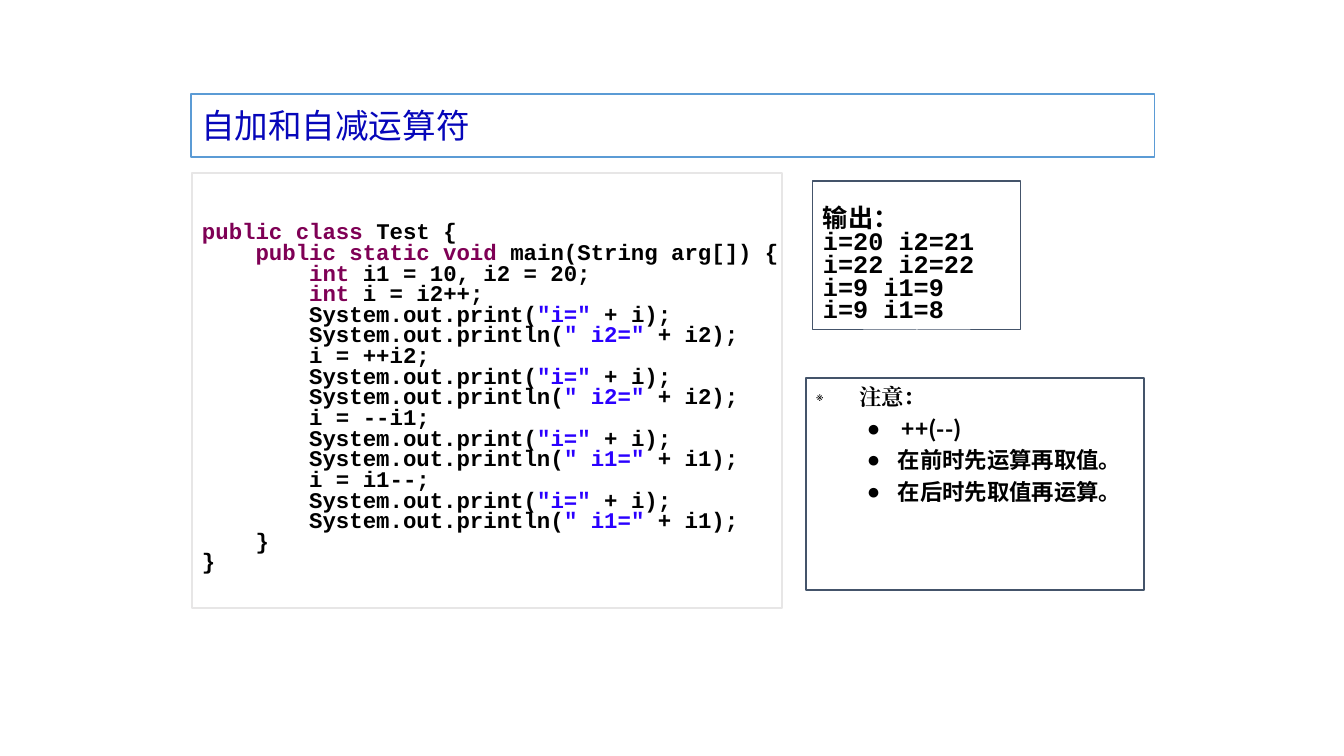
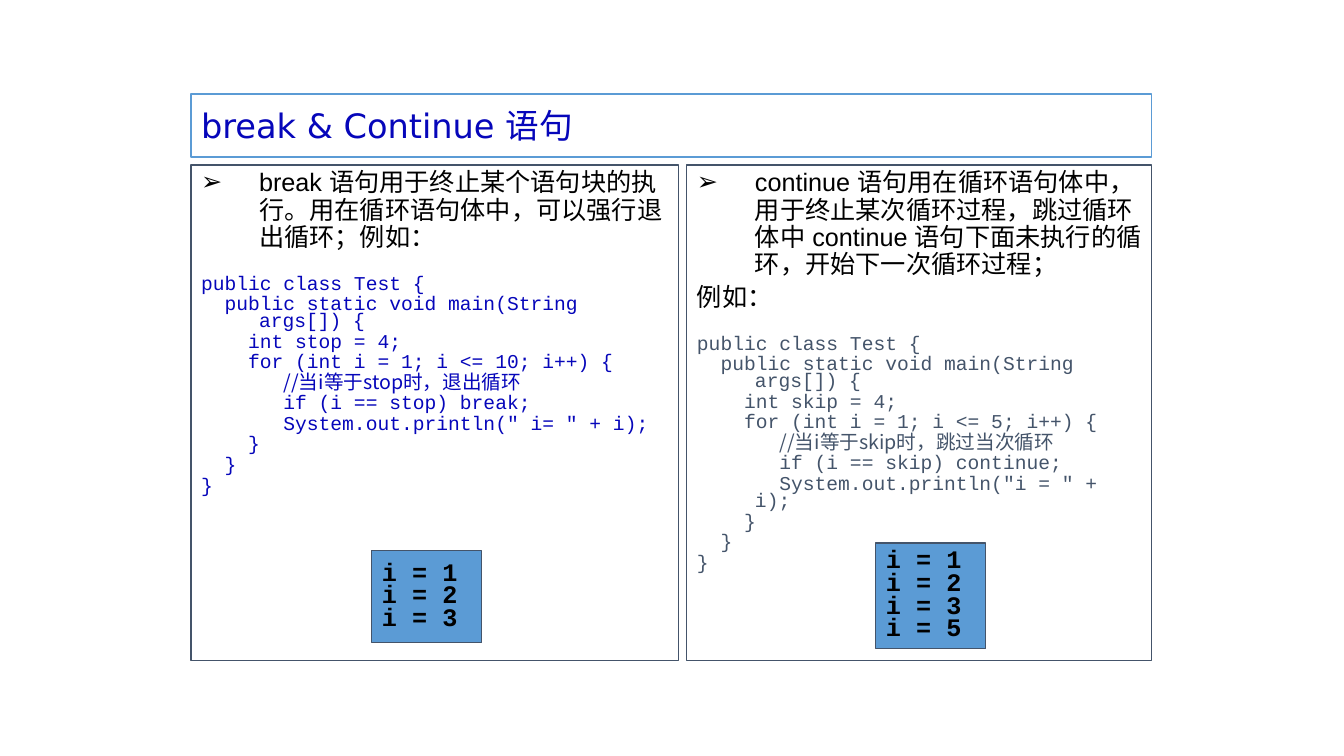
from pptx import Presentation
from pptx.dml.color import RGBColor
from pptx.enum.shapes import MSO_SHAPE
from pptx.enum.text import MSO_ANCHOR, MSO_AUTO_SIZE, PP_ALIGN
from pptx.oxml.ns import qn
from pptx.util import Emu, Pt
from lxml import etree

RECTANGLE = MSO_SHAPE.RECTANGLE
TOP, MIDDLE = MSO_ANCHOR.TOP, MSO_ANCHOR.MIDDLE
LEFT = PP_ALIGN.LEFT
NO_AUTOFIT = MSO_AUTO_SIZE.NONE

SLIDE_WIDTH, SLIDE_HEIGHT = 1344, 756
EMU_PER_PX = 12192000 / SLIDE_WIDTH
INSET_X, INSET_Y = 10, 5
CONTENT_LAYOUT, TWO_CONTENT_LAYOUT = 1, 3

COLORS = {
    "black": "000000", "white": "FFFFFF", "navy": "0606BA", "slate": "44546A",
    "blue": "5B9BD5", "gray": "E7E6E6", "keyword": "7F0055", "string": "2A00FF",
}
MONO, CJK = "Courier New", "Noto Sans CJK SC"
KEYWORDS = ("public class ", "public static void ", "int ")

INCREMENT_CODE = """public class Test {
    public static void main(String arg[]) {
        int i1 = 10, i2 = 20;
        int i = i2++;
        System.out.print("i=" + i);
        System.out.println(" i2=" + i2);
        i = ++i2;
        System.out.print("i=" + i);
        System.out.println(" i2=" + i2);
        i = --i1;
        System.out.print("i=" + i);
        System.out.println(" i1=" + i1);
        i = i1--;
        System.out.print("i=" + i);
        System.out.println(" i1=" + i1);
    }
}"""

LOOP_CODE = """public class Test {{
  public static void main(String args[]) {{
    int {name} = 4;
    for (int i = 1; i <= {limit}; i++) {{
       //当i等于{name}时，{effect}
       if (i == {name}) {statement};
       System.out.println("{label}" + i);
    }}
  }}
}}"""


def px(length):
    return Emu(round(length * EMU_PER_PX))


def color(name):
    return RGBColor.from_string(COLORS[name])


def add_bullet(paragraph, character, margin, indent, size=100):
    """Set the hanging indent, and a bullet character or none."""
    properties = paragraph._p.get_or_add_pPr()
    properties.set("marL", str(px(margin)))
    properties.set("indent", str(px(indent)))
    if not character:
        etree.SubElement(properties, qn("a:buNone"))
        return
    bullet_color = etree.SubElement(properties, qn("a:buClr"))
    etree.SubElement(bullet_color, qn("a:srgbClr"), val=COLORS["black"])
    etree.SubElement(properties, qn("a:buSzPct"), val=str(size * 1000))
    etree.SubElement(properties, qn("a:buChar"), char=character)


def add_text(paragraph, text, font=MONO, size=18, fill="black", bold=False):
    """Add one formatted run, using the font for Latin and East Asian text."""
    run = paragraph.add_run()
    run.text = text
    run.font.name = font
    run.font.size = Pt(size)
    run.font.bold = bold
    run.font.color.rgb = color(fill)
    etree.SubElement(run._r.get_or_add_rPr(), qn("a:ea"), typeface=font)


def color_code(line):
    """Split a code line into (text, color) parts."""
    if '"' in line:
        before, string, after = line.split('"')
        return [(before, "black"), (f'"{string}" ', "string"), (after.lstrip(), "black")]
    for keyword in KEYWORDS:
        if line.lstrip().startswith(keyword):
            end = line.index(keyword) + len(keyword)
            return [(line[:end], "keyword"), (line[end:], "black")]
    return [(line, "black")]


class Deck:
    def __init__(self):
        self.presentation = Presentation()
        self.presentation.slide_width = px(SLIDE_WIDTH)
        self.presentation.slide_height = px(SLIDE_HEIGHT)
        self.slide = None

    def add_slide(self, layout, title, font, width):
        layouts = self.presentation.slide_layouts
        self.slide = self.presentation.slides.add_slide(layouts[layout])
        shape = self.slide.shapes.title
        frame = self.style(shape, (191, 94, width, 63), "blue", anchor=MIDDLE)
        add_text(self.paragraph(frame), title, font=font, size=24, fill="navy")

    def style(self, shape, box, line, fill=None, anchor=TOP, width=0.75,
              wrap=True, top=INSET_Y):
        """Place and outline a shape, and return its text frame."""
        shape.left, shape.top, shape.width, shape.height = map(px, box)
        if fill:
            shape.fill.solid()
            shape.fill.fore_color.rgb = color(fill)
        else:
            shape.fill.background()
        shape.line.color.rgb = color(line)
        shape.line.width = Pt(width)
        frame = shape.text_frame
        frame.auto_size = NO_AUTOFIT
        frame.word_wrap = wrap
        frame.vertical_anchor = anchor
        frame.margin_left = frame.margin_right = px(INSET_X)
        frame.margin_top, frame.margin_bottom = px(top), px(INSET_Y)
        return frame

    def paragraph(self, frame, spacing=1.0, before=0):
        first = frame.paragraphs[0]
        paragraph = frame.add_paragraph() if first.runs else first
        paragraph.alignment = LEFT
        paragraph.line_spacing = spacing
        paragraph.space_before = Pt(before)
        return paragraph

    def box(self, box, line, fill="white", **style):
        shape = self.slide.shapes.add_shape(RECTANGLE, *map(px, box))
        shape.shadow.inherit = False
        return self.style(shape, box, line, fill, MIDDLE, wrap=False, **style)

    def body(self, index, box, **style):
        return self.style(self.slide.placeholders[index], box, "slate", **style)

    def code_box(self, box, code):
        frame = self.box(box, "gray", width=1.5, top=22)
        for line in code.splitlines():
            paragraph = self.paragraph(frame, Pt(14.75))
            for text, fill in color_code(line):
                add_text(paragraph, text, size=16, fill=fill, bold=True)

    def output(self, box, lines, fill="blue", top=INSET_Y):
        frame = self.box(box, "slate", fill, top=top)
        for line in lines:
            add_text(self.paragraph(frame, 0.75), line, bold=True)

    def bullet_list(self, box, heading, items):
        frame = self.body(1, box, fill="white", width=1)
        paragraph = self.paragraph(frame, Pt(19.5))
        add_bullet(paragraph, "※", 43, -43, size=60)
        add_text(paragraph, heading, font="Times New Roman", size=16, bold=True)
        for text, margin in items:
            paragraph = self.paragraph(frame, Pt(19.5), 3)
            paragraph.level = 1
            add_bullet(paragraph, "●", margin, 51 - margin)
            add_text(paragraph, text, font=CJK, size=16, bold=True)

    def panel(self, index, box, intro, code, fill):
        """Bulleted explanation, optional lead-in lines, then code."""
        frame = self.body(index, box)
        for number, text in enumerate(intro):
            paragraph = self.paragraph(frame, 0.9, 4 if number else 0)
            add_bullet(paragraph, None if number else "➢", 58, -58)
            add_text(paragraph, text, font="Arial")
        for number, line in enumerate(code.splitlines()):
            paragraph = self.paragraph(frame, Pt(12.2), 2.5 if number else 18)
            add_bullet(paragraph, None, 58, -58)
            statement, slashes, comment = line.partition("//")
            add_text(paragraph, statement, size=14, fill=fill)
            if slashes:
                add_text(paragraph, slashes + comment, font=CJK, size=14, fill=fill)


def main():
    deck = Deck()

    # Increment and decrement operators
    deck.add_slide(CONTENT_LAYOUT, "自加和自减运算符", "Calibri", 964)
    deck.code_box((192, 173, 590, 435), INCREMENT_CODE)
    deck.output((813, 181, 208, 149),
                ["输出：", "i=20 i2=21", "i=22 i2=22", "i=9 i1=9", "i=9 i1=8"],
                fill="white", top=27)
    deck.bullet_list((806, 378, 338, 212), "注意：", [
        ("++(--)", 86), ("在前时先运算再取值。", 82), ("在后时先取值再运算。", 82)])

    # Break and continue, side by side
    deck.add_slide(TWO_CONTENT_LAYOUT, "break & Continue 语句", "DejaVu Sans", 961)
    deck.panel(
        1, (191, 165, 488, 496),
        ["break 语句用于终止某个语句块的执行。用在循环语句体中，可以强行退出循环；例如："],
        LOOP_CODE.format(name="stop", limit=10, effect="退出循环",
                         statement="break", label=" i= "), "navy")
    deck.panel(
        2, (687, 165, 465, 496),
        ["continue 语句用在循环语句体中，用于终止某次循环过程，跳过循环体中 continue "
         "语句下面未执行的循环，开始下一次循环过程；", "例如："],
        LOOP_CODE.format(name="skip", limit=5, effect="跳过当次循环",
                         statement="continue", label="i = "), "slate")
    for box, values in (((372, 551, 110, 92), (1, 2, 3)),
                        ((876, 543, 110, 106), (1, 2, 3, 5))):
        deck.output(box, [f"i = {value}" for value in values])

    deck.presentation.save("out.pptx")


if __name__ == "__main__":
    main()
